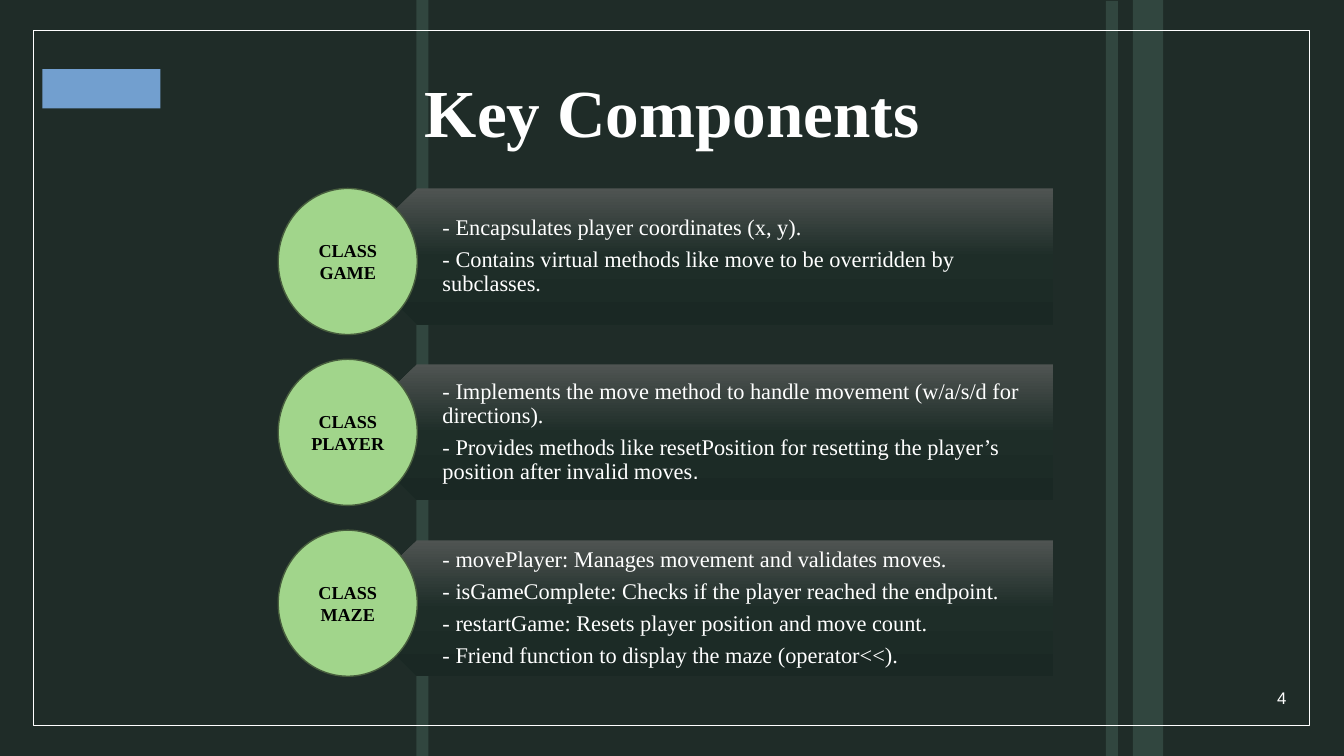
from lxml import etree
from pptx import Presentation
from pptx import util as u
from pptx.dml.color import RGBColor
from pptx.enum import shapes, text
from pptx.oxml import ns

SLIDE_W, SLIDE_H = u.Inches(13.333), u.Inches(7.5)
BACKGROUND = RGBColor(0x1F, 0x2C, 0x28)
STRIPE = RGBColor(0x31, 0x46, 0x3F)
WHITE = RGBColor(0xFF, 0xFF, 0xFF)
BLACK = RGBColor(0x00, 0x00, 0x00)
BLUE = RGBColor(0x72, 0x9F, 0xCF)
GREEN = RGBColor(0xA1, 0xD5, 0x8B)
GREEN_EDGE = RGBColor(0x47, 0x5D, 0x3D)
BANNER_SHADES = (
    (0, RGBColor(0x4F, 0x54, 0x52)),
    (50, RGBColor(0x1E, 0x2D, 0x28)),
    (100, RGBColor(0x1A, 0x28, 0x24)),
)
SERIF, SANS = "Times New Roman", "Arial"

STRIPES = ((82.28, 0.13, 0.9), (30.98, 0, 0.9), (84.3, 0, 2.25))
TOP, BANNER_PITCH, CIRCLE_PITCH = 24.93, 23.27, 22.6
COMPONENTS = (
    (["CLASS GAME"],
     [["- Encapsulates player coordinates (x, y)."],
      ["- Contains virtual methods like move to be overridden by subclasses."]]),
    (["CLASS PLAYER"],
     [["- Implements the move method to handle movement (w/a/s/d for directions)."],
      ["- Provides methods like resetPosition for resetting the player’s position "
       "after invalid moves", "."]]),
    (["CLASS", "MAZE"],
     [["- movePlayer: Manages movement and validates moves."],
      ["- isGameComplete: Checks if the player reached the endpoint."],
      ["- restartGame: Resets player position and move count."],
      ["- Friend function to display the maze (operator<<)."]]),
)


def share(left, top, width, height):
    return [int(size * part / 100) for size, part in
            zip((SLIDE_W, SLIDE_H) * 2, (left, top, width, height))]


def add_block(slide, kind, area, fill=None, edge=None):
    block = slide.shapes.add_shape(kind, *share(*area))
    block.shadow.inherit = False
    if fill is None:
        block.fill.background()
    else:
        block.fill.solid()
        block.fill.fore_color.rgb = fill
    if edge is None:
        block.line.fill.background()
    else:
        block.line.color.rgb = edge
        block.line.width = u.Pt(1)
    return block


def shade_vertically(block, shades):
    block.fill.gradient()
    gradient = block.element.spPr.find(ns.qn("a:gradFill"))
    gradient.set("rotWithShape", "0")
    stops = gradient.find(ns.qn("a:gsLst"))
    for stop in list(stops):
        stops.remove(stop)
    for position, color in shades:
        stop = etree.SubElement(stops, ns.qn("a:gs"), pos=str(position * 1000))
        etree.SubElement(stop, ns.qn("a:srgbClr"), val=str(color))
    gradient.find(ns.qn("a:lin")).set("ang", "5400000")


def add_run(paragraph, wording, size, font, color, bold):
    run = paragraph.add_run()
    run.text = wording
    run.font.size = u.Pt(size)
    run.font.name = font
    run.font.color.rgb = color
    run.font.bold = bold


def write(frame, paragraphs, size, align, font=SERIF, color=WHITE, bold=False,
          spacing=1.0, after=0):
    frame.word_wrap = True
    frame.vertical_anchor = text.MSO_ANCHOR.MIDDLE
    for index, wordings in enumerate(paragraphs):
        paragraph = frame.add_paragraph() if index else frame.paragraphs[0]
        paragraph.alignment = align
        paragraph.line_spacing = spacing
        paragraph.space_after = u.Pt(after)
        for wording in wordings:
            add_run(paragraph, wording, size, SANS if wording == "." else font,
                    color, bold)


def add_label(slide, area, paragraphs, size, align, **style):
    label = slide.shapes.add_textbox(*share(*area))
    write(label.text_frame, paragraphs, size, align, **style)
    return label.text_frame


def add_banner(slide, top, details):
    banner = add_block(slide, shapes.MSO_SHAPE.PENTAGON, (25.95, top, 52.43, 18))
    banner.rotation = 180
    shade_vertically(banner, BANNER_SHADES)
    frame = add_label(slide, (28.5, top, 49.95, 18), details, 16,
                      text.PP_ALIGN.LEFT, spacing=0.9, after=5.6)
    frame.margin_left, frame.margin_right = u.Inches(0.59), u.Inches(0.12)
    frame.margin_top = frame.margin_bottom = u.Inches(0.07)


def add_circle(slide, top, class_name):
    circle = add_block(slide, shapes.MSO_SHAPE.OVAL, (20.7, top, 10.35, 19.33),
                       GREEN, GREEN_EDGE)
    write(circle.text_frame, [[line] for line in class_name], 13,
          text.PP_ALIGN.CENTER, color=BLACK, bold=True)


def main():
    deck = Presentation()
    deck.slide_width, deck.slide_height = SLIDE_W, SLIDE_H
    slide = deck.slides.add_slide(deck.slide_layouts[6])
    slide.background.fill.solid()
    slide.background.fill.fore_color.rgb = BACKGROUND

    rectangle = shapes.MSO_SHAPE.RECTANGLE
    for left, top, width in STRIPES:
        add_block(slide, rectangle, (left, top, width, 100 - top), STRIPE)
    add_block(slide, rectangle, (2.48, 4, 94.95, 92), edge=WHITE)
    add_label(slide, (3.15, 5.6, 93.75, 19.33), [["Key Components"]], 48,
              text.PP_ALIGN.CENTER, bold=True, spacing=0.9)
    add_label(slide, (89.55, 89.6, 6.9, 5.33), [["4"]], 12,
              text.PP_ALIGN.RIGHT, font=SANS)
    add_block(slide, rectangle, (3.15, 9.13, 8.78, 5.2), BLUE)

    for row, (class_name, details) in enumerate(COMPONENTS):
        add_banner(slide, TOP + row * BANNER_PITCH, details)
        add_circle(slide, TOP + row * CIRCLE_PITCH, class_name)
    deck.save("out.pptx")


if __name__ == "__main__":
    main()
